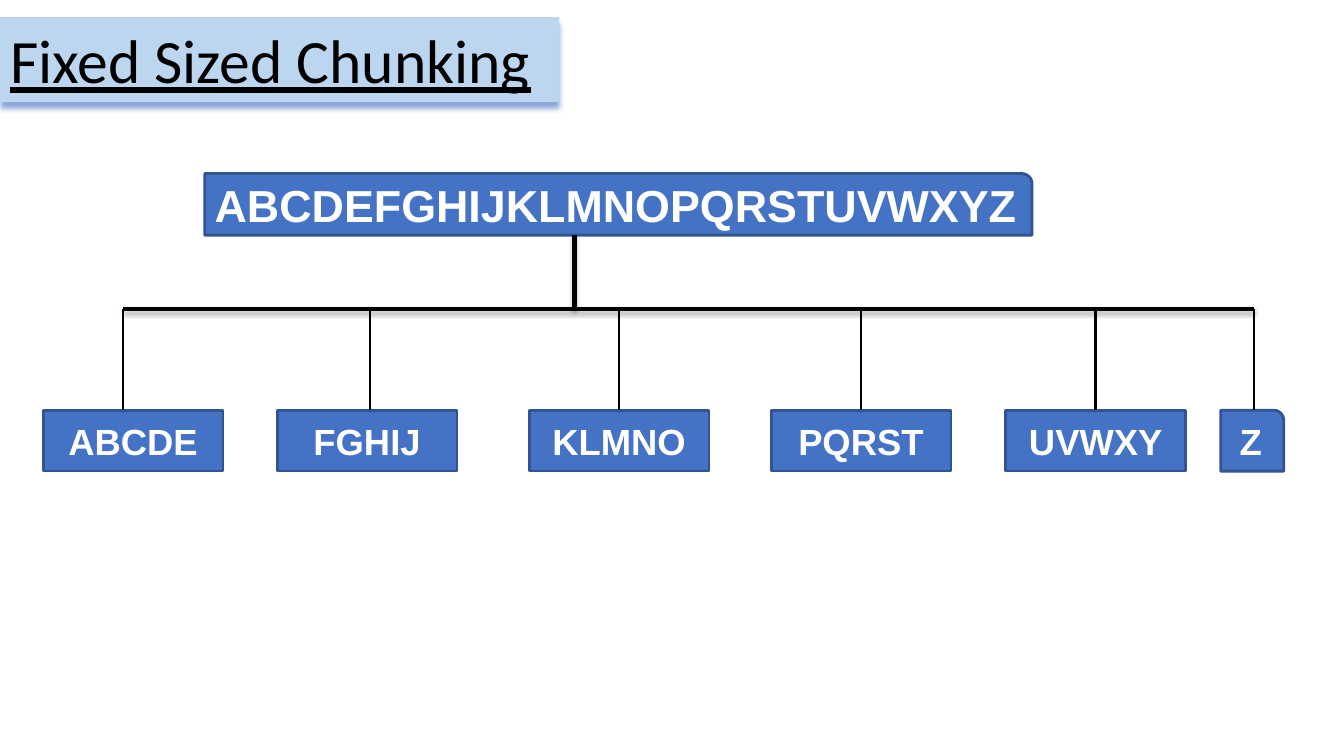
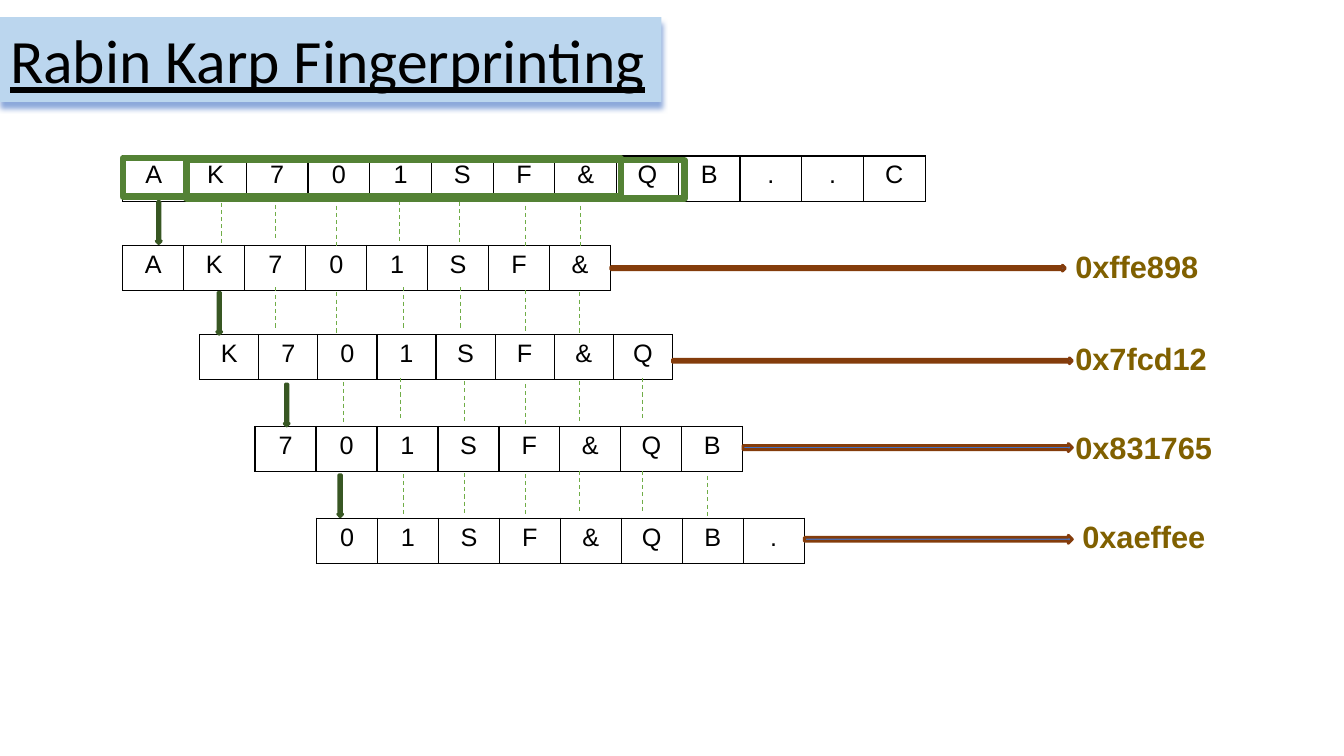
"""Build two slides on chunking: fixed sized chunks and rolling fingerprints."""
from pptx import Presentation
from pptx.dml.color import RGBColor
from pptx.enum.dml import MSO_LINE
from pptx.enum.shapes import MSO_CONNECTOR, MSO_SHAPE as SHAPE
from pptx.enum.text import MSO_ANCHOR as ANCHOR, MSO_AUTO_SIZE, PP_ALIGN as ALIGN
from pptx.oxml.ns import qn
from pptx.util import Pt
from lxml.etree import SubElement

COLORS = {
    "band": "BBD6EE", "band_shadow": "8DA9DB", "black": "000000", "white": "FFFFFF",
    "box": "4472C4", "box_line": "325491", "green": "70AD47", "down_line": "385723",
    "frame": "548235", "arrow_line": "843C0B", "hash": "806000",
}
NO_STYLE = "{2D5ABB26-0587-4C30-8999-92F81FD0307C}"

CHUNK_TITLE = ("Fixed Sized Chunking", 399.6)
SOURCE = ("ABCDEFGHIJKLMNOPQRSTUVWXYZ", 146.2, 124, 591, 44)
CHUNK_W, LAST_W, CHUNK_H = 128.5, 45, 43.5
BUS_Y, CHUNK_Y, STEM_X = 221, 293, 410.4
CHUNKS = [
    ("ABCDE", 30.8, 88), ("FGHIJ", 198, 264.4), ("KLMNO", 378, 442),
    ("PQRST", 550.8, 615), ("UVWXY", 718.5, 782.5), ("Z", 872, 895.8),
]

PRINT_TITLE = ("Rabin Karp Fingerprinting", 472.5)
STREAM = "AK701SF&QB..C"
WINDOW, ROW_H, STEP_H = 8, 32.2, 30
STREAM_ROW = (87.8, 111.5, 573.1)
WINDOW_ROWS = [
    (87.8, 175.3, 348.5), (142.6, 239, 337.7), (182.2, 304.6, 348.5), (226.1, 370.1, 348.5),
]
HASHES = [
    ("0xffe898", 761, 173.5, 761, 189.4, 4.3),
    ("0x7fcd12", 761, 239, 766, 255.6, 4.3),
    ("0x831765", 761, 302.4, 766, 316.8, 5.8),
    ("0xaeffee", 766, 366.5, 766, 382.3, 5.8),
]
DOWN_ARROWS = [(111.6, 144), (154.8, 208.8), (203, 274.3), (241.2, 339.1)]
GUIDES = [
    (158.4, 144.7), (196.6, 141.1), (240.5, 146.9), (285.1, 143.3), (328.3, 144),
    (375.1, 146.9), (414.7, 146.9),
    (196.6, 205.2), (240.5, 208.8), (288, 205.2), (329, 205.2), (375.1, 207.4), (414, 208.8),
    (245.5, 272.9), (285.8, 270), (331.9, 272.2), (375.1, 274.3), (414, 272.2), (458.6, 270),
    (288, 338.4), (331.9, 337.7), (375.1, 338.4), (414, 336.2), (458.6, 336.2), (505.4, 339.8),
]
FRAMES = [(133.2, 114.5), (87.8, 113)]
FRAME_W, FRAME_H = 355.7, 27.4


def rgb(name):
    return RGBColor.from_string(COLORS[name])


def add_effect(sp, color=None, alpha=100, blur=0, dist=0):
    effects = SubElement(sp._element.spPr, qn("a:effectLst"))
    if color:
        shadow = SubElement(effects, qn("a:outerShdw"), blurRad=str(Pt(blur)),
                            dist=str(Pt(dist)), dir="5400000", algn="ctr", rotWithShape="0")
        clr = SubElement(shadow, qn("a:srgbClr"), val=COLORS[color])
        SubElement(clr, qn("a:alpha"), val=str(alpha * 1000))


def write(tf, text, size, color, font="Arial", bold=False, align=ALIGN.LEFT, underline=None):
    p = tf.paragraphs[0]
    p.alignment = align
    r = p.add_run()
    r.text = text
    r.font.name, r.font.size, r.font.bold = font, Pt(size), bold
    r.font.underline = underline
    r.font.color.rgb = rgb(color)


def add_slide(prs, title, width):
    s = prs.slides.add_slide(prs.slide_layouts[5])
    sp = s.shapes.title
    sp.left, sp.top, sp.width, sp.height = Pt(0), Pt(12.2), Pt(width), Pt(60.6)
    sp.fill.solid()
    sp.fill.fore_color.rgb = rgb("band")
    add_effect(sp, "band_shadow", 100, 4, 4)
    tf = sp.text_frame
    tf.auto_size, tf.word_wrap = MSO_AUTO_SIZE.NONE, False
    tf.vertical_anchor = ANCHOR.TOP
    write(tf, title, 44, "black", "Calibri", underline=True)
    return s


def add_box(s, kind, x, y, w, h, fill, line, weight=2):
    sp = s.shapes.add_shape(kind, Pt(x), Pt(y), Pt(w), Pt(h))
    sp.shadow.inherit = False
    if fill:
        sp.fill.solid()
        sp.fill.fore_color.rgb = rgb(fill)
    else:
        sp.fill.background()
    sp.line.color.rgb = rgb(line)
    sp.line.width = Pt(weight)
    return sp


def add_chunk(s, kind, text, x, y, w, h, size, align):
    tf = add_box(s, kind, x, y, w, h, "box", "box_line").text_frame
    tf.vertical_anchor = ANCHOR.MIDDLE
    write(tf, text, size, "white", bold=True, align=align)


def add_line(s, x1, y1, x2, y2, color, weight, dash=None, shadow=()):
    c = s.shapes.add_connector(MSO_CONNECTOR.STRAIGHT, Pt(x1), Pt(y1), Pt(x2), Pt(y2))
    c.line.color.rgb = rgb(color)
    c.line.width = Pt(weight)
    if dash:
        c.line.dash_style = dash
    add_effect(c, *shadow)


def add_row(s, text, x, y, w):
    frame = s.shapes.add_table(1, len(text), Pt(x), Pt(y), Pt(w), Pt(ROW_H))
    table = frame.table
    table.first_row = table.horz_banding = False
    table._tbl.tblPr.find(qn("a:tableStyleId")).text = NO_STYLE
    for col, char in enumerate(text):
        table.columns[col].width = Pt(w / len(text))
        cell = table.cell(0, col)
        tc_pr = cell._tc.get_or_add_tcPr()
        for side in ("lnL", "lnR", "lnT", "lnB"):
            ln = SubElement(tc_pr, qn("a:" + side), w=str(Pt(1)))
            SubElement(SubElement(ln, qn("a:solidFill")), qn("a:srgbClr"), val=COLORS["black"])
        cell.fill.background()
        write(cell.text_frame, char, 18, "black", align=ALIGN.CENTER)


def build_chunking(prs):
    s = add_slide(prs, *CHUNK_TITLE)
    text, x, y, w, h = SOURCE
    add_chunk(s, SHAPE.ROUND_1_RECTANGLE, text, x, y, w, h, 32, ALIGN.LEFT)
    soft = ("black", 35, 3.1, 1.8)
    add_line(s, CHUNKS[0][2], BUS_Y, CHUNKS[-1][2], BUS_Y, "black", 3, shadow=soft)
    add_line(s, STEM_X, y + h, STEM_X, BUS_Y, "black", 3, shadow=soft)
    for text, x, drop_x in CHUNKS:
        full = len(text) > 1
        kind = SHAPE.RECTANGLE if full else SHAPE.ROUND_1_RECTANGLE
        add_chunk(s, kind, text, x, CHUNK_Y, CHUNK_W if full else LAST_W, CHUNK_H,
                  26, ALIGN.CENTER)
        add_line(s, drop_x, BUS_Y, drop_x, CHUNK_Y, "black", 1.5)


def build_fingerprinting(prs):
    s = add_slide(prs, *PRINT_TITLE)
    add_row(s, STREAM, *STREAM_ROW)
    for i, ((x, y, w), (text, label_x, label_y, tip, arrow_y, arrow_h)) in enumerate(
            zip(WINDOW_ROWS, HASHES)):
        add_row(s, STREAM[i:i + WINDOW], x, y, w)
        add_box(s, SHAPE.RIGHT_ARROW, x + w, arrow_y, tip - x - w, arrow_h, "box", "arrow_line")
        tb = s.shapes.add_textbox(Pt(label_x), Pt(label_y), Pt(131), Pt(33.8))
        tb.text_frame.word_wrap = True
        write(tb.text_frame, text, 22, "hash", bold=True)
    for x, y in DOWN_ARROWS:
        add_box(s, SHAPE.DOWN_ARROW, x, y, 3.6, STEP_H, "green", "down_line")
    for x, y in GUIDES:
        add_line(s, x, y, x, y + STEP_H, "green", 0.75, MSO_LINE.DASH)
    for x, y in FRAMES:
        add_box(s, SHAPE.RECTANGLE, x, y, FRAME_W, FRAME_H, None, "frame", 4.5)


prs = Presentation()
prs.slide_width, prs.slide_height = Pt(960), Pt(540)
build_chunking(prs)
build_fingerprinting(prs)
prs.save("out.pptx")
